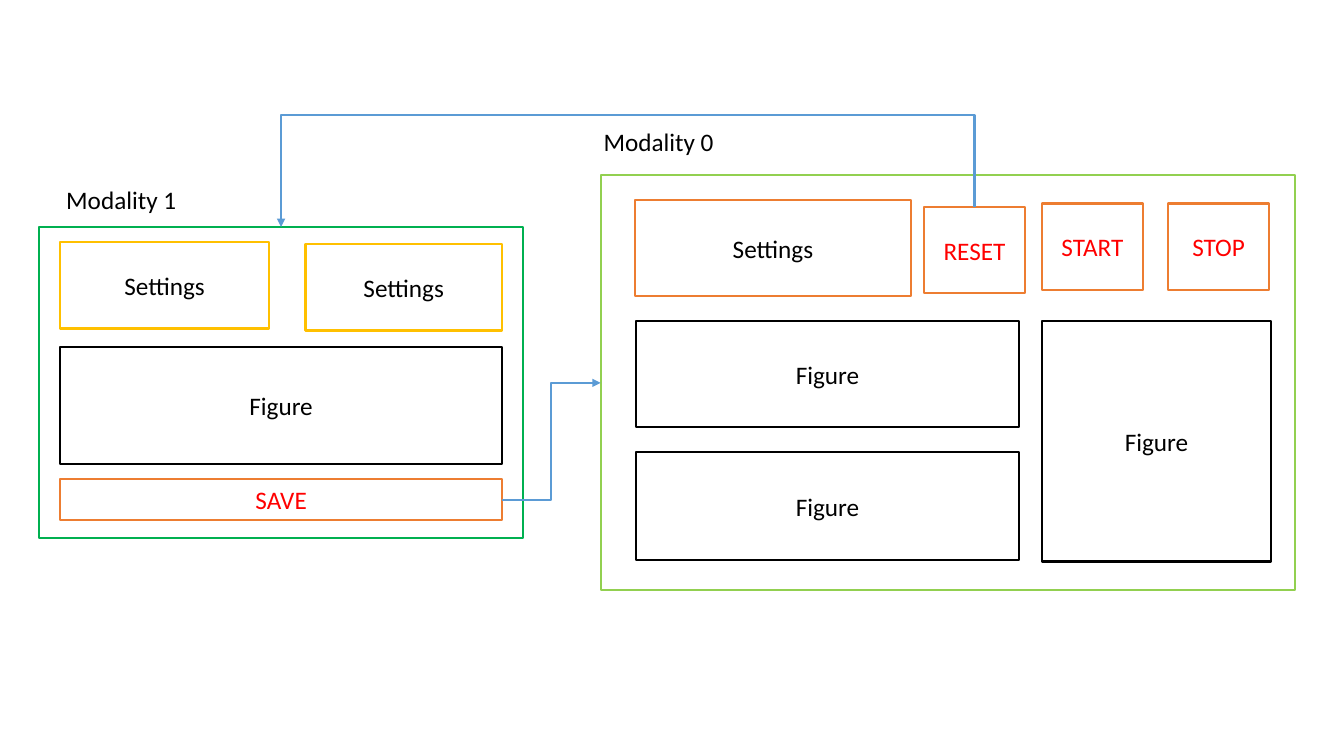
from lxml.etree import SubElement
from pptx import Presentation
from pptx.dml.color import RGBColor
from pptx.enum.shapes import MSO_CONNECTOR, MSO_SHAPE
from pptx.enum.text import MSO_ANCHOR, MSO_AUTO_SIZE, PP_ALIGN
from pptx.oxml.ns import qn
from pptx.util import Cm, Pt

BLACK, WHITE, RED = "000000", "FFFFFF", "FF0000"
ORANGE, GOLD, BLUE = "ED7D31", "FFC000", "5B9BD5"
GREEN, LIME = "00B050", "92D050"
TOP, LEFT, BOTTOM, RIGHT = range(4)


def rgb(value):
    return RGBColor.from_string(value)


class Diagram:
    font, size, stroke = "Calibri", Pt(18), Pt(1.5)

    def __init__(self, slide):
        self.slide = slide

    def set_words(self, frame, words, color):
        frame.text = words
        for run in frame.paragraphs[0].runs:
            run.font.name = self.font
            run.font.size = self.size
            run.font.color.rgb = rgb(color)

    def box(self, left, top, width, height, outline, words="", color=BLACK):
        block = self.slide.shapes.add_shape(
            MSO_SHAPE.RECTANGLE, Cm(left), Cm(top), Cm(width), Cm(height))
        block.shadow.inherit = False
        block.fill.solid()
        block.fill.fore_color.rgb = rgb(WHITE)
        block.line.color.rgb = rgb(outline)
        block.line.width = self.stroke
        if words:
            self.set_words(block.text_frame, words, color)
            block.text_frame.vertical_anchor = MSO_ANCHOR.MIDDLE
            block.text_frame.paragraphs[0].alignment = PP_ALIGN.CENTER
        return block

    def label(self, left, top, words):
        caption = self.slide.shapes.add_textbox(Cm(left), Cm(top), Cm(3.3), Cm(1.02))
        caption.text_frame.word_wrap = False
        caption.text_frame.auto_size = MSO_AUTO_SIZE.SHAPE_TO_FIT_TEXT
        self.set_words(caption.text_frame, words, BLACK)

    def arrow(self, source, source_side, target, target_side):
        link = self.slide.shapes.add_connector(MSO_CONNECTOR.ELBOW, 0, 0, 0, 0)
        link.begin_connect(source, source_side)
        link.end_connect(target, target_side)
        link.line.color.rgb = rgb(BLUE)
        link.line.width = self.stroke
        properties = link._element.spPr
        SubElement(properties.find(qn("a:ln")), qn("a:tailEnd"), type="triangle")
        SubElement(properties, qn("a:effectLst"))
        return link

    def arrow_over(self, source, target, peak):
        link = self.arrow(source, TOP, target, TOP)
        start_x, start_y = link.begin_x, link.begin_y
        end_x, end_y = link.end_x, link.end_y
        rise, span = end_y - start_y, start_x - end_x
        link.left = (start_x + end_x - rise) // 2
        link.top = (start_y + end_y - span) // 2
        link.width, link.height = rise, span
        properties = link._element.spPr
        frame = properties.find(qn("a:xfrm"))
        for key, value in (("rot", "16200000"), ("flipH", "1"), ("flipV", "1")):
            frame.set(key, value)
        bend = round((Cm(peak) - start_y) / rise * 100000)
        guides = properties.find(qn("a:prstGeom")).find(qn("a:avLst"))
        SubElement(guides, qn("a:gd"), name="adj1", fmla=f"val {bend}")


def main():
    deck = Presentation()
    deck.slide_width, deck.slide_height = Cm(33.87), Cm(19.05)
    diagram = Diagram(deck.slides.add_slide(deck.slide_layouts[6]))

    modality_1 = diagram.box(0.99, 5.72, 12.19, 7.85, GREEN)
    modality_0 = diagram.box(15.14, 4.42, 17.5, 10.46, LIME)

    for place in ((1.52, 8.74, 11.13, 2.95), (16.03, 8.1, 9.65, 2.67),
                  (16.03, 11.4, 9.65, 2.72), (26.26, 8.1, 5.77, 6.05)):
        diagram.box(*place, BLACK, "Figure")

    for *place, outline in ((1.52, 6.1, 5.26, 2.18, GOLD),
                            (7.7, 6.15, 4.95, 2.18, GOLD),
                            (16, 5.05, 6.96, 2.41, ORANGE)):
        diagram.box(*place, outline, "Settings")

    save = diagram.box(1.52, 12.07, 11.13, 1.04, ORANGE, "SAVE", RED)
    buttons = {}
    for words, left, top in (("START", 26.26, 5.13), ("STOP", 29.44, 5.13),
                             ("RESET", 23.29, 5.21)):
        buttons[words] = diagram.box(left, top, 2.54, 2.18, ORANGE, words, RED)

    diagram.arrow(save, RIGHT, modality_0, LEFT)
    diagram.arrow_over(buttons["RESET"], modality_1, 2.9)

    diagram.label(14.96, 3.07, "Modality 0")
    diagram.label(1.42, 4.52, "Modality 1")

    deck.save("out.pptx")


if __name__ == "__main__":
    main()
